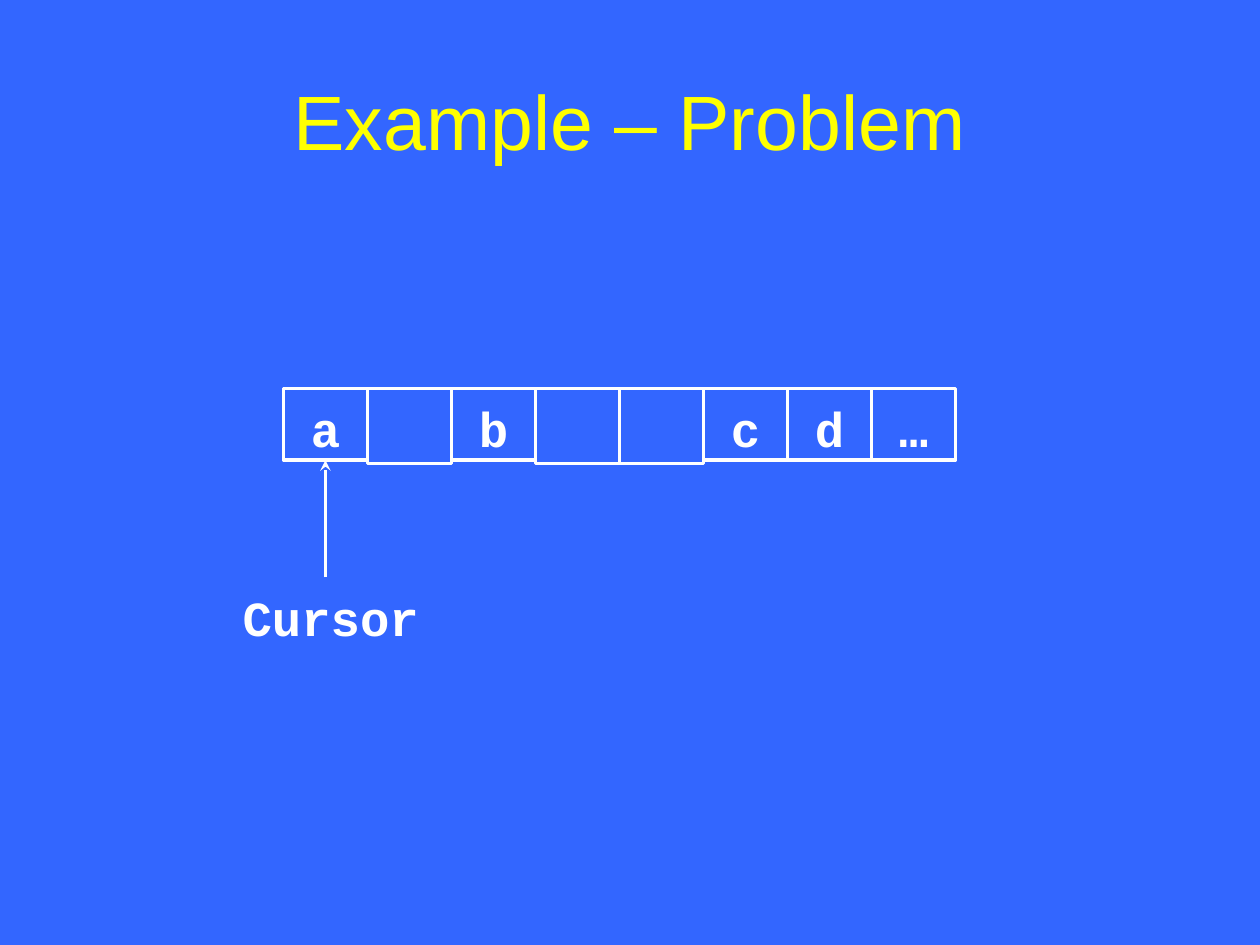
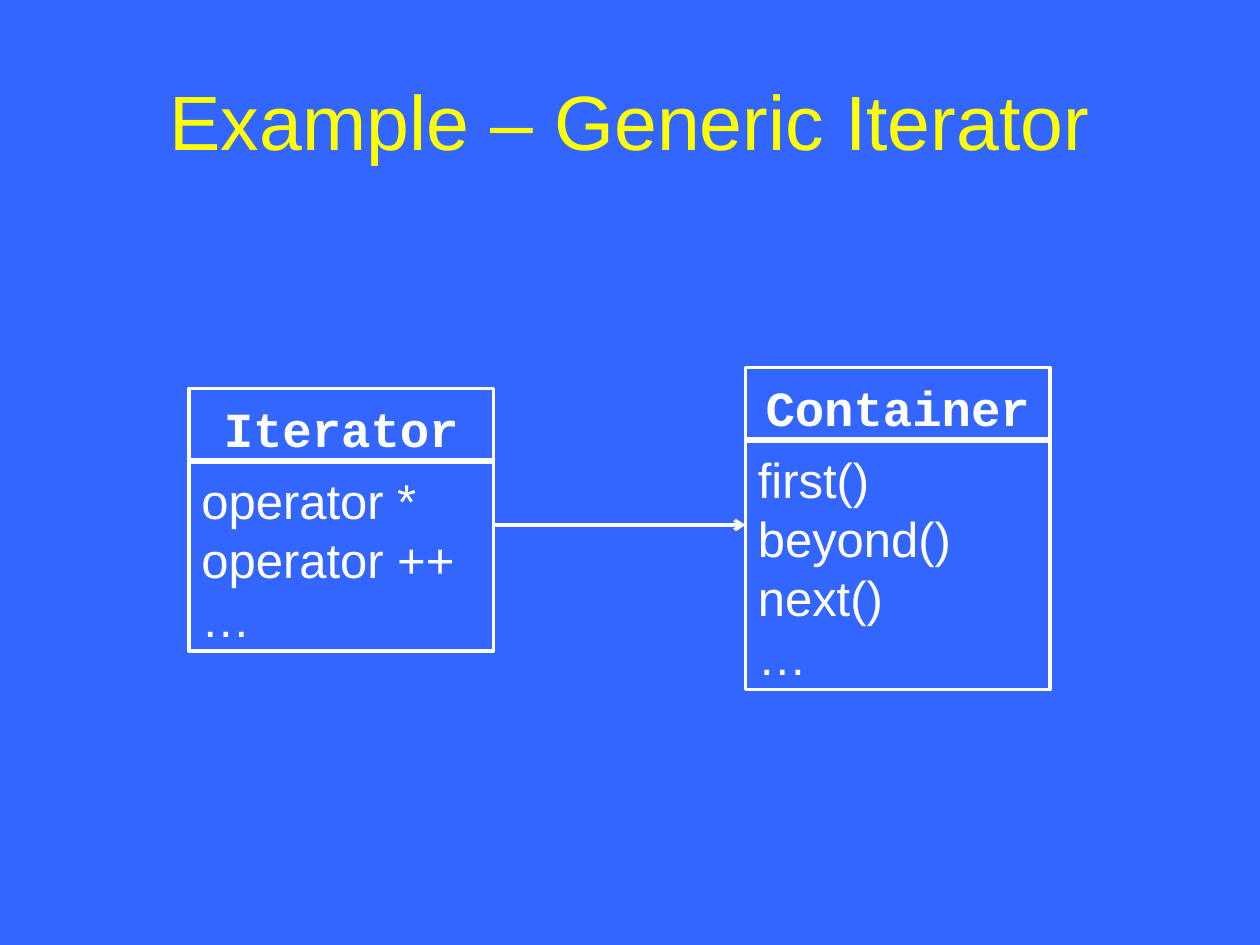
from typing import NamedTuple

from lxml.etree import SubElement
from pptx import Presentation
from pptx.dml.color import RGBColor
from pptx.enum.shapes import MSO_CONNECTOR as Connector, MSO_SHAPE as Preset
from pptx.enum.text import MSO_ANCHOR as Anchor, MSO_AUTO_SIZE as AutoSize, PP_ALIGN as Align
from pptx.oxml.ns import qn
from pptx.util import Pt

BLUE, WHITE, YELLOW = "3366FF", "FFFFFF", "FFFF00"
LINE_WIDTH = 2
LABEL_HEIGHT = 41


class Box(NamedTuple):
    left: float
    top: float
    width: float
    height: float

    def lengths(self):
        return [Pt(value) for value in self]


class TextStyle(NamedTuple):
    font: str
    size: float
    color: str
    line_height: float
    top_inset: float
    align: Align = Align.CENTER
    bold: bool = False
    anchor: Anchor = Anchor.TOP


class ClassBox(NamedTuple):
    name: str
    members: list[str]
    left: float
    top: float
    body_height: float


TITLE = TextStyle("Arial", 44, YELLOW, 52.8, 7, anchor=Anchor.MIDDLE)
LABEL = TextStyle("Courier New", 28, WHITE, 33.6, 6, bold=True)
MEMBERS = TextStyle("Arial", 28, WHITE, 33.6, 5, align=Align.LEFT)

TITLE_BOX = Box(36, 21.6, 648, 90)

CELLS = ["a", "", "b", "", "", "c", "d", "…"]
CELLS_LEFT, CELLS_TOP, CELL_WIDTH, EMPTY_CELL_HEIGHT = 162, 222, 48, 43
CURSOR_BOX = Box(126, 330, 126, LABEL_HEIGHT)

CLASS_WIDTH, CLASS_BODY_OFFSET = 174, 42
ITERATOR = ClassBox("Iterator", ["operator *", "operator ++", "…"], 108, 222, 108)
CONTAINER = ClassBox("Container", ["first()", "beyond()", "next()", "…"], 426, 210, 142)
ASSOCIATION_Y = 300


def rgb(color: str) -> RGBColor:
    return RGBColor.from_string(color)


def write_text(shape, text: str, style: TextStyle) -> None:
    frame = shape.text_frame
    frame.text = text
    frame.word_wrap = True
    frame.auto_size = AutoSize.NONE
    frame.vertical_anchor = style.anchor
    frame.margin_left = frame.margin_right = Pt(7.2)
    frame.margin_top, frame.margin_bottom = Pt(style.top_inset), Pt(3.6)
    for paragraph in frame.paragraphs:
        paragraph.alignment = style.align
        paragraph.line_spacing = Pt(style.line_height)
        paragraph.space_before = Pt(0)
        for run in paragraph.runs:
            run.font.name = style.font
            run.font.size = Pt(style.size)
            run.font.bold = style.bold
            run.font.color.rgb = rgb(style.color)


def add_title_slide(presentation, title: str):
    """Add a slide that holds only a title."""
    slide = presentation.slides.add_slide(presentation.slide_layouts[5])
    placeholder = slide.shapes.title
    placeholder.left, placeholder.top, placeholder.width, placeholder.height = TITLE_BOX.lengths()
    write_text(placeholder, title, TITLE)
    return slide


def add_outlined_box(slide, box: Box, text: str = "", style: TextStyle = LABEL):
    shape = slide.shapes.add_shape(Preset.RECTANGLE, *box.lengths())
    shape.shadow.inherit = False
    shape.fill.background()
    shape.line.color.rgb = rgb(WHITE)
    shape.line.width = Pt(LINE_WIDTH)
    if text:
        write_text(shape, text, style)
    return shape


def add_arrow(slide, start: tuple[float, float], end: tuple[float, float], head: str):
    points = [Pt(value) for value in (*start, *end)]
    arrow = slide.shapes.add_connector(Connector.STRAIGHT, *points)
    arrow.line.color.rgb = rgb(WHITE)
    arrow.line.width = Pt(LINE_WIDTH)
    properties = arrow.element.spPr
    SubElement(properties.find(qn("a:ln")), qn("a:tailEnd"), type=head)
    SubElement(properties, qn("a:effectLst"))
    return arrow


def add_class_box(slide, item: ClassBox) -> None:
    add_outlined_box(slide, Box(item.left, item.top, CLASS_WIDTH, LABEL_HEIGHT), item.name)
    body = Box(item.left, item.top + CLASS_BODY_OFFSET, CLASS_WIDTH, item.body_height)
    add_outlined_box(slide, body, "\n".join(item.members), MEMBERS)


def build_problem_slide(presentation) -> None:
    slide = add_title_slide(presentation, "Example – Problem")
    cells = []
    for index, text in enumerate(CELLS):
        height = LABEL_HEIGHT if text else EMPTY_CELL_HEIGHT
        box = Box(CELLS_LEFT + index * CELL_WIDTH, CELLS_TOP, CELL_WIDTH, height)
        cells.append(add_outlined_box(slide, box, text))
    cursor_x = CELLS_LEFT + CELL_WIDTH / 2
    cell_bottom = CELLS_TOP + LABEL_HEIGHT
    arrow = add_arrow(slide, (cursor_x, CURSOR_BOX.top), (cursor_x, cell_bottom), "stealth")
    arrow.end_connect(cells[0], 2)
    write_text(slide.shapes.add_textbox(*CURSOR_BOX.lengths()), "Cursor", LABEL)


def build_iterator_slide(presentation) -> None:
    slide = add_title_slide(presentation, "Example – Generic Iterator")
    for item in (CONTAINER, ITERATOR):
        add_class_box(slide, item)
    start = (ITERATOR.left + CLASS_WIDTH, ASSOCIATION_Y)
    add_arrow(slide, start, (CONTAINER.left, ASSOCIATION_Y), "arrow")


def main() -> None:
    presentation = Presentation()
    presentation.slide_width, presentation.slide_height = Pt(720), Pt(540)
    background = presentation.slide_master.background.fill
    background.solid()
    background.fore_color.rgb = rgb(BLUE)
    build_problem_slide(presentation)
    build_iterator_slide(presentation)
    presentation.save("out.pptx")


if __name__ == "__main__":
    main()
